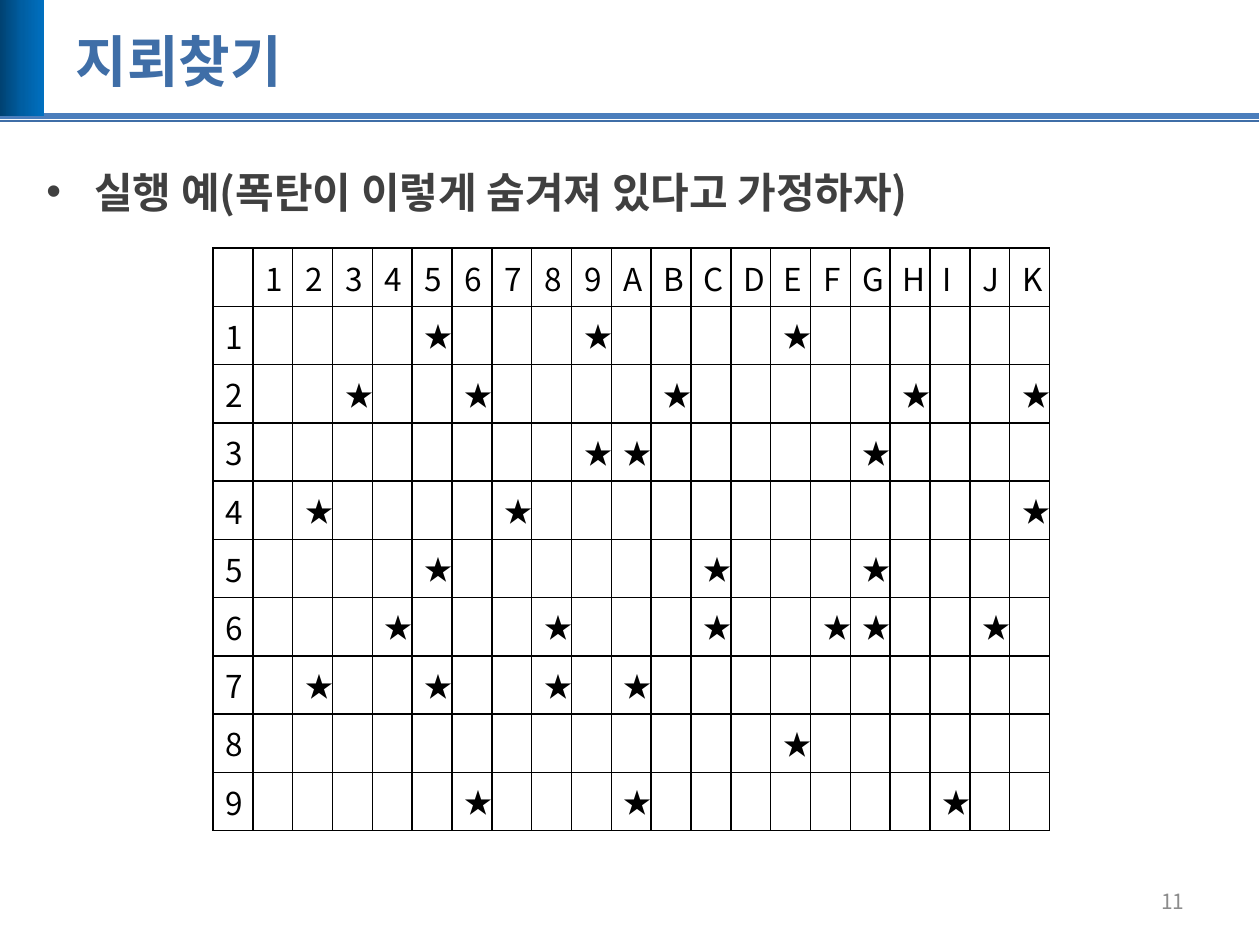
from copy import deepcopy
from lxml.etree import SubElement
from pptx import Presentation
from pptx.dml.color import RGBColor
from pptx.enum.shapes import MSO_CONNECTOR, MSO_SHAPE
from pptx.enum.text import MSO_ANCHOR, MSO_AUTO_SIZE, PP_ALIGN
from pptx.oxml import parse_xml
from pptx.oxml.ns import nsdecls, qn
from pptx.util import Inches, Pt

FONT = "Noto Sans CJK KR"
TITLE = "지뢰찾기"
BODY = "실행 예(폭탄이 이렇게 숨겨져 있다고 가정하자)"
PAGE_NUMBER = "11"
COLUMNS = "123456789ABCDEFGHIJK"
MINES = {
    "1": "59E",
    "2": "36BHK",
    "3": "9AG",
    "4": "27K",
    "5": "5CG",
    "6": "48CFGJ",
    "7": "258A",
    "8": "E",
    "9": "6AI",
}
HEADER_LINES = [(0.92, "4B7EBC", 3), (0.96, "3F6EA7", 1)]
GRADIENT = ["004272", "005EA2", "0070C0"]
TABLE_WIDTH, ROW_HEIGHT = 6.64, 0.41


def color(value):
    return RGBColor.from_string(value)


def add_run(paragraph, text, size, value, bold=False):
    run = paragraph.add_run()
    run.text = text
    run.font.size = Pt(size)
    run.font.bold = bold
    run.font.color.rgb = color(value)
    run.font.name = FONT
    SubElement(run._r.get_or_add_rPr(), qn("a:ea")).set("typeface", FONT)


def add_text_box(slide, left, top, width, height):
    shape = slide.shapes.add_textbox(Inches(left), Inches(top), Inches(width), Inches(height))
    shape.text_frame.word_wrap = True
    return shape.text_frame


def add_borders(cell):
    properties = cell._tc.get_or_add_tcPr()
    for position, side in enumerate(("lnL", "lnR", "lnT", "lnB")):
        properties.insert(position, parse_xml(
            f'<a:{side} {nsdecls("a")} w="12700"><a:solidFill>'
            f'<a:srgbClr val="000000"/></a:solidFill></a:{side}>'))


def add_header(slide):
    for top, value, width in HEADER_LINES:
        line = slide.shapes.add_connector(
            MSO_CONNECTOR.STRAIGHT, Inches(-0.01), Inches(top), Inches(9.99), Inches(top))
        line.line.color.rgb = color(value)
        line.line.width = Pt(width)
        SubElement(line._element.spPr, qn("a:effectLst"))
    block = slide.shapes.add_shape(MSO_SHAPE.RECTANGLE, 0, 0, Inches(0.35), Inches(0.92))
    block.shadow.inherit = False
    block.line.fill.background()
    block.fill.gradient()
    block.fill.gradient_angle = 0
    stop_list = block._element.spPr.find(".//" + qn("a:gsLst"))
    stop_list.insert(1, deepcopy(stop_list[0]))
    for index, (stop, value) in enumerate(zip(block.fill.gradient_stops, GRADIENT)):
        stop.color.rgb = color(value)
        stop.position = index / (len(GRADIENT) - 1)


def add_title(slide):
    title = slide.shapes.title
    title.left, title.top, title.width, title.height = map(Inches, (0.5, 0.21, 9, 0.54))
    frame = title.text_frame
    frame.auto_size = MSO_AUTO_SIZE.NONE
    frame.vertical_anchor = MSO_ANCHOR.MIDDLE
    frame.paragraphs[0].alignment = PP_ALIGN.LEFT
    add_run(frame.paragraphs[0], TITLE, 32, "3F6EA7", True)


def add_minefield(slide):
    rows = [" " + COLUMNS] + [
        label + "".join("★" if column in mines else " " for column in COLUMNS)
        for label, mines in MINES.items()]
    table = slide.shapes.add_table(
        len(rows), len(rows[0]), Inches(1.69), Inches(1.97),
        Inches(TABLE_WIDTH), Inches(ROW_HEIGHT * len(rows))).table
    table.first_row = table.horz_banding = False
    for column in table.columns:
        column.width = Inches(TABLE_WIDTH / len(rows[0]))
    for row_index, row in enumerate(rows):
        table.rows[row_index].height = Inches(ROW_HEIGHT)
        for column_index, text in enumerate(row):
            cell = table.cell(row_index, column_index)
            cell.fill.background()
            add_borders(cell)
            paragraph = cell.text_frame.paragraphs[0]
            if text == "★":
                cell.vertical_anchor = MSO_ANCHOR.MIDDLE
                paragraph.alignment = PP_ALIGN.CENTER
                add_run(paragraph, text, 16, "000000")
            elif text != " ":
                add_run(paragraph, text, 18, "000000")


def add_body(slide):
    paragraph = add_text_box(slide, 0.27, 1.19, 9, 5.44).paragraphs[0]
    paragraph.line_spacing = 1.2
    paragraph.space_before = paragraph.space_after = Pt(6)
    properties = paragraph._p.get_or_add_pPr()
    properties.set("marL", str(Inches(0.38)))
    properties.set("indent", str(Inches(-0.38)))
    SubElement(properties, qn("a:buFont")).set("typeface", "Arial")
    SubElement(properties, qn("a:buChar")).set("char", "•")
    add_run(paragraph, BODY, 24, "404040", True)


def add_page_number(slide):
    frame = add_text_box(slide, 7.17, 6.95, 2.33, 0.4)
    frame.vertical_anchor = MSO_ANCHOR.MIDDLE
    frame.paragraphs[0].alignment = PP_ALIGN.RIGHT
    add_run(frame.paragraphs[0], PAGE_NUMBER, 12, "8C8C8C")


presentation = Presentation()
presentation.slide_width, presentation.slide_height = Inches(10), Inches(7.5)
slide = presentation.slides.add_slide(presentation.slide_layouts[5])
add_header(slide)
add_title(slide)
add_minefield(slide)
add_page_number(slide)
add_body(slide)
presentation.save("out.pptx")
